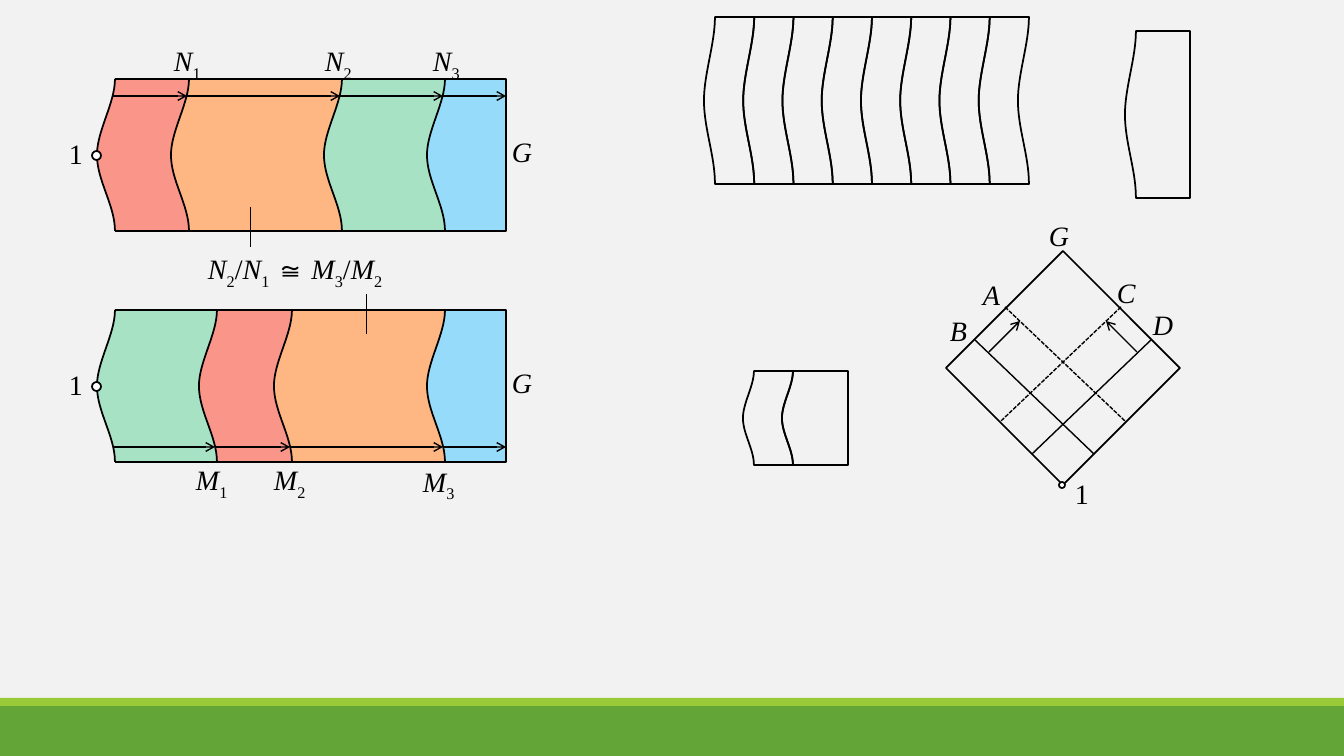
import dataclasses
import itertools

import lxml.etree
import pptx
import pptx.dml.color
import pptx.enum.dml
import pptx.enum.shapes
import pptx.oxml.ns
import pptx.shapes.base
import pptx.util

Point = tuple[float, float]


@dataclasses.dataclass(frozen=True)
class Theme:
    back: str = "F2F2F2"
    ink: str = "000000"
    white: str = "FFFFFF"
    red: str = "FA958A"
    orange: str = "FEB782"
    green: str = "A8E2C5"
    blue: str = "97DBFB"
    floor: str = "63A537"
    trim: str = "99CB38"
    font: str = "Times New Roman"
    size: int = 20
    heavy: float = 1.25
    light: float = 1
    hair: float = 0.5


@dataclasses.dataclass(frozen=True)
class Chain:
    top: int
    edges: tuple[int, ...]
    fills: tuple[str, ...]
    arrow: int


@dataclasses.dataclass(frozen=True)
class Strip:
    left: float
    right: float
    top: int
    height: int
    wavy: bool


@dataclasses.dataclass(frozen=True)
class Label:
    text: str
    left: int
    top: int
    width: int = 54


@dataclasses.dataclass(frozen=True)
class Dot:
    left: int
    top: int
    size: int


@dataclasses.dataclass(frozen=True)
class Link:
    start: Point
    end: Point
    width: float
    arrow: bool = False
    dashed: bool = False


THEME = Theme()
SCALE = 914400 / 100.8
WIDE, HIGH = 1344, 756
RIGHT, HEIGHT = 506, 152
DEEP, SHALLOW = 18, 11
OVAL = pptx.enum.shapes.MSO_SHAPE.OVAL
BAR = pptx.enum.shapes.MSO_SHAPE.RECTANGLE

CHAINS = [
    Chain(79, (115, 189, 342, 445), (THEME.red, THEME.orange, THEME.green, THEME.blue), 96),
    Chain(310, (115, 217, 292, 445), (THEME.green, THEME.red, THEME.orange, THEME.blue), 447),
]
FIRST, PITCH = 715, 314 / 8
STRIPS = [Strip(FIRST + i * PITCH, FIRST + (i + 1) * PITCH, 17, 167, True) for i in range(8)]
STRIPS += [
    Strip(1136, 1190, 31, 167, False),
    Strip(754, 793, 371, 94, True),
    Strip(793, 848, 371, 94, False),
]
LABELS = [
    Label("1", 59, 132), Label("G", 502, 130),
    Label("1", 59, 363), Label("G", 502, 361),
    Label("N1", 164, 39), Label("N2", 315, 39), Label("N3", 423, 39),
    Label("M1", 186, 458), Label("M2", 264, 458), Label("M3", 413, 460),
    Label("N2/N1 ≅ M3/M2", 198, 247, 238),
    Label("G", 1039, 214), Label("A", 973, 273), Label("B", 940, 309),
    Label("C", 1107, 271), Label("D", 1143, 303), Label("1", 1065, 472),
]
DOTS = [Dot(92, 151, 9), Dot(92, 382, 9), Dot(1059, 482, 6)]
MID = 1063
DIAMOND = [(MID, 251), (MID + 117, 368), (MID, 485), (MID - 117, 368)]
LINKS = [
    Link((366, 294), (366, 334), THEME.hair),
    Link((250, 207), (250, 247), THEME.hair),
]
for side in (-1, 1):
    LINKS += [
        Link((MID + side * 88, 340), (MID - side * 31, 454), THEME.light),
        Link((MID + side * 58, 307), (MID - side * 62, 421), THEME.light, dashed=True),
        Link((MID + side * 74, 352), (MID + side * 43, 321), THEME.light, arrow=True),
    ]

deck = pptx.Presentation()


def emu(length: float) -> int:
    return round(length * SCALE)


def tint(code: str) -> pptx.dml.color.RGBColor:
    return pptx.dml.color.RGBColor.from_string(code)


deck.slide_width, deck.slide_height = emu(WIDE), emu(HIGH)
slide = deck.slides.add_slide(deck.slide_layouts[6])
slide.background.fill.solid()
slide.background.fill.fore_color.rgb = tint(THEME.back)


def paint(shape: pptx.shapes.base.BaseShape, fill: str = "", line: bool = True) -> None:
    shape.shadow.inherit = False
    if fill:
        shape.fill.solid()
        shape.fill.fore_color.rgb = tint(fill)
    else:
        shape.fill.background()
    if line:
        shape.line.color.rgb = tint(THEME.ink)
        shape.line.width = pptx.util.Pt(THEME.heavy)
    else:
        shape.line.fill.background()


def wave(x: float, top: float, height: float, depth: float) -> list[Point]:
    low = x - depth
    marks = [top + height * part for part in (0, 0.16, 0.34, 0.5, 0.67, 0.83, 1)]
    return list(zip((x, x, low, low, low, x, x), marks))


def trace(sides: list[list[Point]], close: bool, fill: str = "", line: bool = True) -> None:
    spots = [(emu(x), emu(y)) for side in sides for x, y in side]
    maker = slide.shapes.build_freeform(*spots[0], scale=1.0)
    maker.add_line_segments(spots[1:], close=close)
    shape = maker.convert_to_shape()
    route = next(shape._element.iter(pptx.oxml.ns.qn("a:path")))
    steps = list(route)
    first = 0
    for side in sides:
        if len(side) == 7:
            for start in (first + 1, first + 4):
                curve = lxml.etree.Element(pptx.oxml.ns.qn("a:cubicBezTo"))
                steps[start].addprevious(curve)
                for step in steps[start:start + 3]:
                    curve.append(step[0])
                    route.remove(step)
        first += len(side)
    paint(shape, fill, line)


def join(link: Link) -> None:
    ends = [emu(n) for n in (*link.start, *link.end)]
    line = slide.shapes.add_connector(pptx.enum.shapes.MSO_CONNECTOR.STRAIGHT, *ends)
    line.line.color.rgb = tint(THEME.ink)
    line.line.width = pptx.util.Pt(link.width)
    if link.dashed:
        line.line.dash_style = pptx.enum.dml.MSO_LINE.SQUARE_DOT
    props = line._element.spPr
    if link.arrow:
        stroke = props.find(pptx.oxml.ns.qn("a:ln"))
        lxml.etree.SubElement(stroke, pptx.oxml.ns.qn("a:tailEnd"), type="arrow")
    lxml.etree.SubElement(props, pptx.oxml.ns.qn("a:effectLst"))


def style(char: str) -> str:
    return "name" if char.isalpha() else "sub" if char.isdigit() else "plain"


def write(label: Label) -> None:
    box = slide.shapes.add_textbox(emu(label.left), emu(label.top), emu(label.width), emu(44))
    box.text_frame.word_wrap = True
    line = box.text_frame.paragraphs[0]
    for kind, chars in itertools.groupby(label.text, style):
        run = line.add_run()
        run.text = "".join(chars)
        run.font.name = THEME.font
        run.font.size = pptx.util.Pt(THEME.size)
        run.font.color.rgb = tint(THEME.ink)
        run.font.italic = kind == "name"
        if kind == "sub" and len(label.text) > 1:
            run.font._element.set("baseline", "-25000")


def draw(chain: Chain) -> None:
    base = chain.top + HEIGHT
    wall = [(RIGHT, chain.top), (RIGHT, base)]
    curves = [wave(x, chain.top, HEIGHT, DEEP) for x in chain.edges]
    for (left, right), fill in zip(itertools.pairwise([*curves, wall]), chain.fills):
        trace([left, right[::-1]], True, fill, False)
    for curve in curves:
        trace([curve], False)
    trace([[curves[0][0], *wall, curves[0][-1]]], False)
    stops = [x - 2 for x in chain.edges] + [RIGHT]
    for start, end in itertools.pairwise(stops):
        join(Link((start, chain.arrow), (end, chain.arrow), THEME.light, arrow=True))


for top, height, fill in ((706, 50, THEME.floor), (698, 8, THEME.trim)):
    paint(slide.shapes.add_shape(BAR, 0, emu(top), emu(WIDE), emu(height)), fill, False)
for chain in CHAINS:
    draw(chain)
for strip in STRIPS:
    left = wave(strip.left, strip.top, strip.height, SHALLOW)
    right = wave(strip.right, strip.top, strip.height, SHALLOW)
    trace([left, right[::-1] if strip.wavy else [right[-1], right[0]]], True)
trace([DIAMOND], True)
for link in LINKS:
    join(link)
for dot in DOTS:
    size = emu(dot.size)
    paint(slide.shapes.add_shape(OVAL, emu(dot.left), emu(dot.top), size, size), THEME.white)
for label in LABELS:
    write(label)

deck.save("out.pptx")
